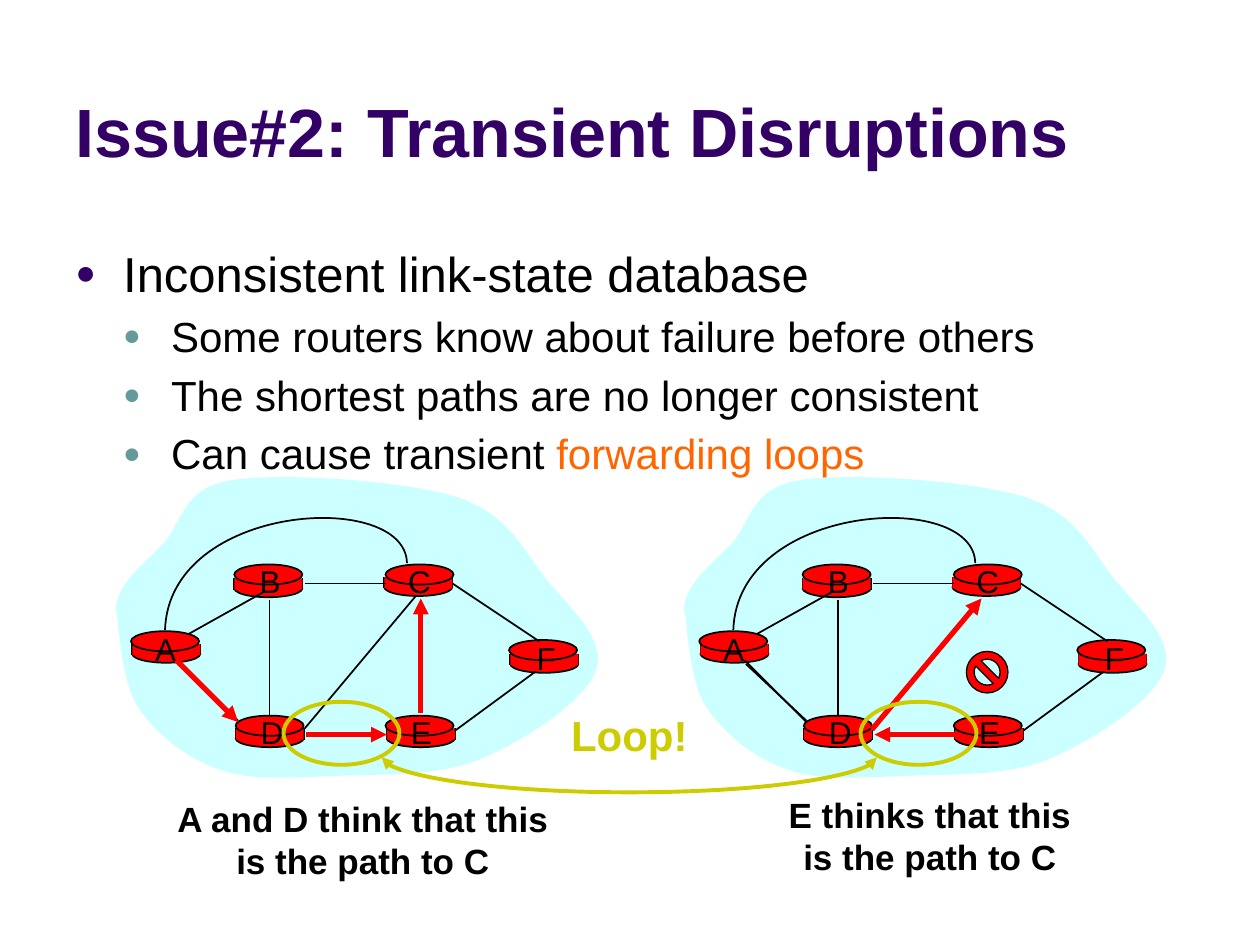
from lxml.etree import SubElement
from pptx import Presentation
from pptx.dml.color import RGBColor
from pptx.enum.shapes import MSO_CONNECTOR as Connector, MSO_SHAPE as Shape
from pptx.enum.text import MSO_ANCHOR as Anchor, MSO_AUTO_SIZE as Fit, PP_ALIGN as Align
from pptx.oxml.ns import qn
from pptx.util import Inches, Pt

COLORS = {
    "title": "330066", "text": "000000", "bullet": "669999", "loops": "FF6600",
    "cloud": "CCFFFF", "router": "FF0000", "link": "000000", "loop": "CCCC00",
}
COLUMNS, ROWS = 10, 7.5
CELL = Inches(1)

ROUTERS = {
    "A": {"base": (0.13, 1.36), "cap": (0.12, 1.26), "label": (0.21, 1.2)},
    "D": {"base": (0.95, 2.03), "cap": (0.95, 1.93), "label": (1.05, 1.86)},
    "B": {"base": (0.94, 0.84), "cap": (0.94, 0.73), "label": (1.04, 0.66)},
    "C": {"base": (2.13, 0.83), "cap": (2.14, 0.73), "label": (2.22, 0.66)},
    "E": {"base": (2.15, 2.03), "cap": (2.14, 1.93), "label": (2.24, 1.86)},
    "F": {"base": (3.13, 1.44), "cap": (3.12, 1.33), "label": (3.23, 1.27)},
}
LINKS = [((0.58, 1.28), (1.17, 0.95)), ((1.22, 1.01), (1.22, 1.94)),
         ((2.69, 2.05), (3.33, 1.58)), ((0.97, 1.97), (0.49, 1.52)),
         ((1.5, 0.88), (2.14, 0.88)), ((3.36, 1.34), (2.67, 0.88))]
DETOUR = [(2.31, 0.72), (2.3, 0.13), (0.42, 0.24), (0.39, 1.25)]
CLOUD = [(0, 1.08), (0.01, 0.88), (0.22, 0.73), (0.38, 0.56),
         (0.53, 0.39), (0.53, 0.12), (0.92, 0.06),
         (1.3, 0), (2.27, 0.06), (2.69, 0.19),
         (3.11, 0.32), (3.23, 0.61), (3.41, 0.84),
         (3.6, 1.07), (3.9, 1.33), (3.81, 1.57),
         (3.73, 1.81), (3.23, 2.14), (2.88, 2.28),
         (2.53, 2.42), (2.07, 2.39), (1.72, 2.41),
         (1.38, 2.42), (1.06, 2.45), (0.8, 2.35),
         (0.55, 2.26), (0.31, 2.07), (0.17, 1.85),
         (0.04, 1.64), (0.03, 1.24), (0, 1.08)]


def cells(*counts):
    return [round(count * CELL) for count in counts]


def rgb(name):
    return RGBColor.from_string(COLORS[name])


def paint(shape, fill=None, line=None, width=1):
    shape.shadow.inherit = False
    if fill:
        shape.fill.solid()
        shape.fill.fore_color.rgb = rgb(fill)
    else:
        shape.fill.background()
    if line:
        shape.line.color.rgb = rgb(line)
        shape.line.width = Pt(width)
    else:
        shape.line.fill.background()
    return shape


def preset(slide, kind, box, **look):
    return paint(slide.shapes.add_shape(kind, *cells(*box)), **look)


def link(slide, origin, start, end, color="link", width=1, heads=(),
         kind=Connector.STRAIGHT):
    (x, y), (x1, y1), (x2, y2) = origin, start, end
    line = slide.shapes.add_connector(kind, *cells(x + x1, y + y1, x + x2, y + y2))
    line.line.color.rgb = rgb(color)
    line.line.width = Pt(width)
    SubElement(line._element.spPr, qn("a:effectLst"))
    outline = line.line._get_or_add_ln()
    for head in heads:
        SubElement(outline, qn(f"a:{head}"), type="triangle")
    return line


def curve(slide, origin, controls, closed=False, **look):
    placed = [cells(origin[0] + x, origin[1] + y) for x, y in controls]
    builder = slide.shapes.build_freeform(*placed[0])
    builder.add_line_segments(placed[1:], close=closed)
    shape = builder.convert_to_shape()
    corners = list(shape._element.iter(qn("a:lnTo")))
    for first in range(0, len(corners) - 2, 3):
        trio = corners[first:first + 3]
        bend = SubElement(trio[0].getparent(), qn("a:cubicBezTo"))
        trio[0].addprevious(bend)
        for corner in trio:
            bend.append(corner[0])
            corner.getparent().remove(corner)
    return paint(shape, **look)


def add_run(paragraph, words, size, color, bold=False):
    run = paragraph.add_run()
    run.text = words
    run.font.name = "Arial"
    run.font.size = Pt(size)
    run.font.bold = bold
    run.font.color.rgb = rgb(color)


def text_frame(slide, box, anchor=Anchor.TOP, wrap=True, fit=Fit.NONE):
    frame = slide.shapes.add_textbox(*cells(*box)).text_frame
    frame.word_wrap = wrap
    frame.auto_size = fit
    frame.vertical_anchor = anchor
    return frame


def centered(slide, box, lines, size, color="text", bold=True, **layout):
    frame = text_frame(slide, box, fit=Fit.SHAPE_TO_FIT_TEXT, **layout)
    paragraph = frame.paragraphs[0]
    paragraph.alignment = Align.CENTER
    for number, words in enumerate(lines):
        if number:
            paragraph.add_line_break()
        add_run(paragraph, words, size, color, bold)


def title(slide, box):
    heading = text_frame(slide, box, Anchor.BOTTOM).paragraphs[0]
    add_run(heading, "Issue#2: Transient Disruptions", 39, "title", True)


def points(slide, box):
    frame = text_frame(slide, box)
    entries = [
        (0, [("Inconsistent link-state database", "text")]),
        (1, [("Some routers know about failure before others", "text")]),
        (1, [("The shortest paths are no longer consistent", "text")]),
        (1, [("Can cause transient ", "text"), ("forwarding loops", "loops")]),
    ]
    for number, (level, runs) in enumerate(entries):
        size = 24 if level else 28
        entry = frame.add_paragraph() if number else frame.paragraphs[0]
        entry.level = level
        entry.space_before = Pt(size * 0.2)
        properties = entry._p.get_or_add_pPr()
        indent = Inches(0.38)
        properties.set("marL", str(indent * (level + 1)))
        properties.set("indent", str(-indent))
        tint = SubElement(properties, qn("a:buClr"))
        SubElement(tint, qn("a:srgbClr"), val=COLORS["bullet" if level else "title"])
        SubElement(properties, qn("a:buSzPct"), val="70000")
        SubElement(properties, qn("a:buFont"), typeface="Arial")
        SubElement(properties, qn("a:buChar"), char="●")
        for words, color in runs:
            add_run(entry, words, size, color)


def router(slide, origin, base, cap):
    wide = 0.54
    x, y = origin[0] + base[0], origin[1] + base[1]
    preset(slide, Shape.OVAL, (x, y + 0.01, wide, 0.14), fill="router", line="link")
    for side in (x, x + wide):
        link(slide, (side, y), (0, 0), (0, 0.09))
    preset(slide, Shape.RECTANGLE, (x, y, wide, 0.09), fill="router")
    preset(slide, Shape.OVAL, (origin[0] + cap[0], origin[1] + cap[1], wide, 0.16),
           fill="router", line="link")


def network(slide, origin, routes, extra_links=()):
    left, top = origin
    curve(slide, origin, CLOUD, closed=True, fill="cloud")
    for parts in ROUTERS.values():
        router(slide, origin, parts["base"], parts["cap"])
    for start, end in [*LINKS, *extra_links]:
        link(slide, origin, start, end)
    curve(slide, origin, DETOUR, line="link")
    for name, parts in ROUTERS.items():
        x, y = parts["label"]
        centered(slide, (left + x, top + y, 0.37, 0.4), [name], 18,
                 bold=False, wrap=False)
    for start, end in routes:
        link(slide, origin, start, end, "router", 3, ["tailEnd"])


def loop_arrow(slide, start, span, dip):
    depth = 1600
    arrow = link(slide, start, (0, 0), (span, 0), "loop", 2.25,
                 ["headEnd", "tailEnd"], Connector.CURVE)
    middle, level = cells(start[0] + span / 2, start[1])
    arrow.width, arrow.height = depth, round(span * CELL)
    arrow.left = middle - depth // 2
    arrow.top = level + depth // 2 - arrow.height // 2
    frame = arrow._element.spPr.find(qn("a:xfrm"))
    frame.set("rot", "16200000")
    frame.set("flipH", "1")
    guides = arrow._element.spPr.find(qn("a:prstGeom")).find(qn("a:avLst"))
    ratio = round(dip * CELL / depth * 100000)
    SubElement(guides, qn("a:gd"), name="adj1", fmla=f"val {ratio}")


def loop_callout(slide, box):
    left, top, width, _ = box
    for x in (left, left + width - 0.92):
        preset(slide, Shape.OVAL, (x, top, 0.92, 0.5), line="loop", width=2.25)
    loop_arrow(slide, (left + 0.78, top + 0.44), 3.93, 0.31)
    centered(slide, (left + 2.18, top + 0.01, 1.13, 0.5), ["Loop!"], 24, "loop",
             anchor=Anchor.MIDDLE, wrap=False)


deck = Presentation()
deck.slide_width, deck.slide_height = cells(COLUMNS, ROWS)
slide = deck.slides.add_slide(deck.slide_layouts[6])

points(slide, (0.5, 1.88, 9, 4.82))
title(slide, (0.5, 0.13, 9, 1.28))
network(slide, (0.92, 3.75),
        routes=[((0.48, 1.49), (0.97, 1.98)), ((1.51, 2.08), (2.15, 2.08)),
                ((2.42, 1.91), (2.42, 1))],
        extra_links=[((1.5, 2.03), (2.38, 0.98))])
for box, opening in (((0.67, 6.28, 4.42, 0.77), "A and D think that this"),
                     ((5.42, 6.25, 3.92, 0.77), "E thinks that this")):
    centered(slide, box, [opening, "is the path to C"], 20, anchor=Anchor.MIDDLE)
network(slide, (5.43, 3.75),
        routes=[((1.49, 2.04), (2.36, 1)), ((2.15, 2.08), (1.51, 2.08))],
        extra_links=[((0.48, 1.49), (0.97, 1.98))])
preset(slide, Shape.NO_SYMBOL, (7.67, 5.17, 0.33, 0.33),
       fill="router", line="link", width=0.75)
loop_callout(slide, (2.25, 5.57, 5.5, 0.75))

deck.save("out.pptx")
